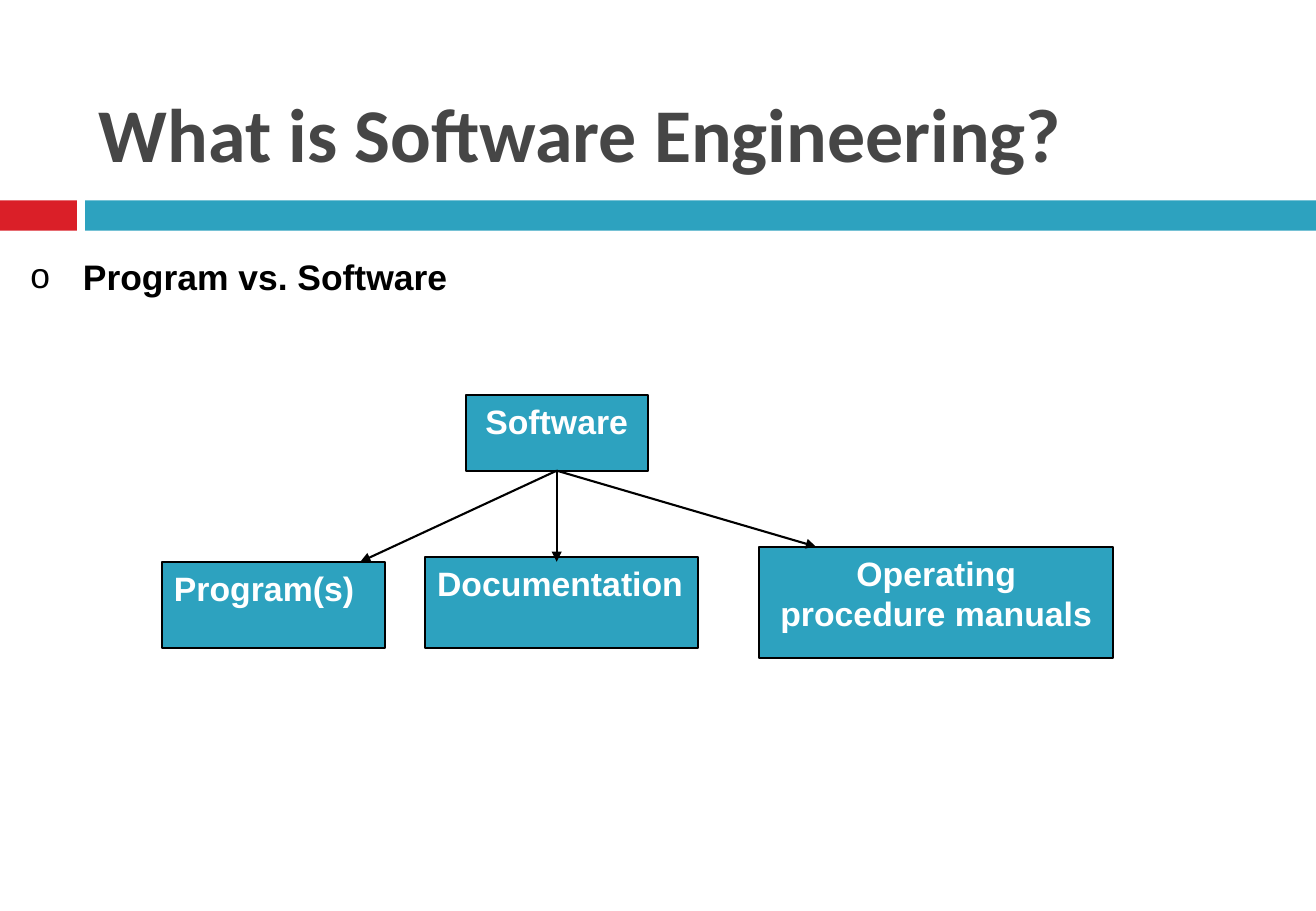
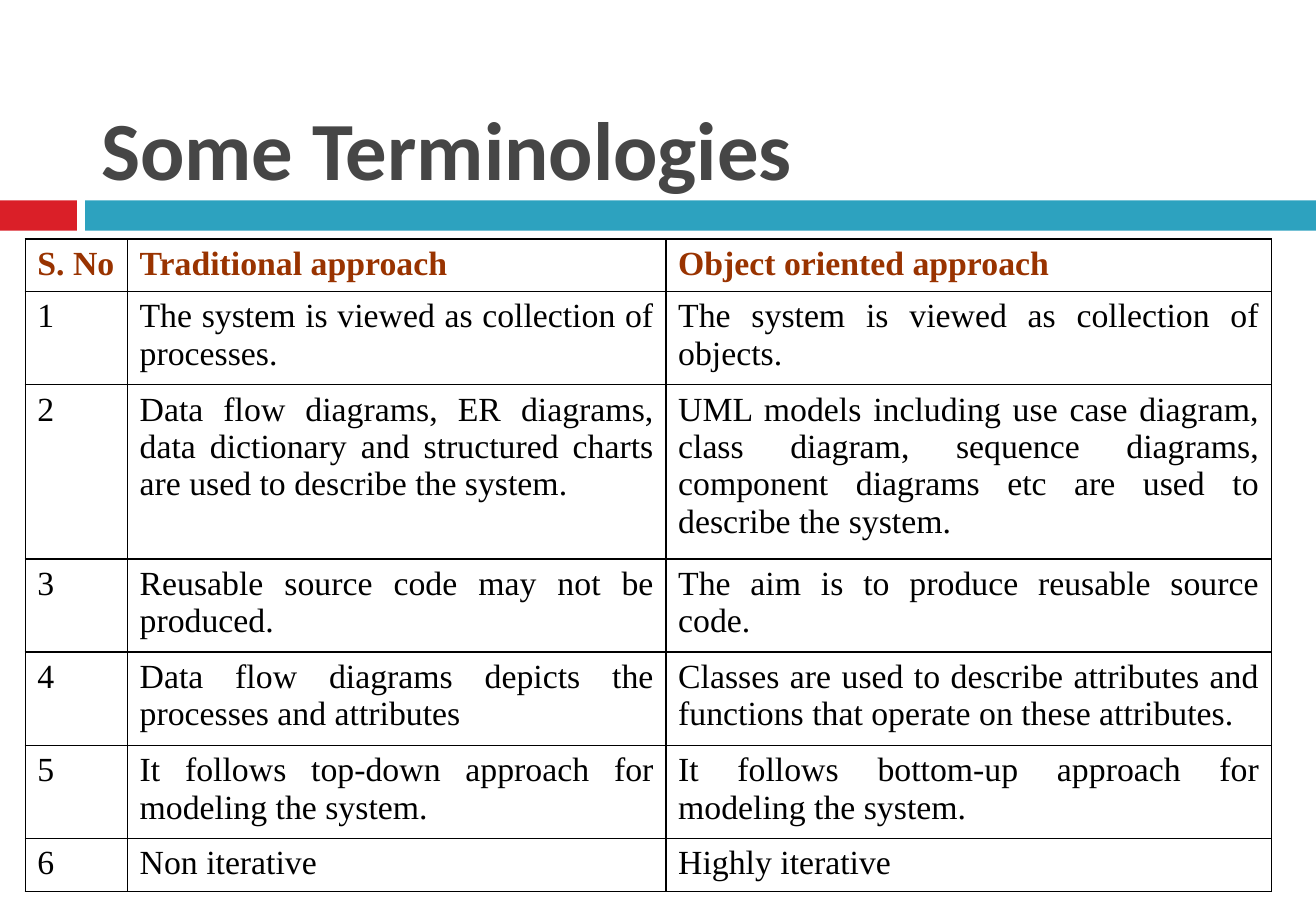
from typing import NamedTuple

from lxml.etree import SubElement
from pptx import Presentation
from pptx.dml.color import RGBColor
from pptx.enum.shapes import MSO_CONNECTOR, MSO_SHAPE
from pptx.enum.text import MSO_ANCHOR, PP_ALIGN
from pptx.oxml.ns import qn
from pptx.util import Emu, Pt

UNIT = 76200
COLUMNS, ROWS = 130, 90
RED, TEAL, GREY = "DA1F28", "2DA2BF", "464646"
BLACK, WHITE, BROWN = "000000", "FFFFFF", "993300"
HEADING_FONT, BODY_FONT, TABLE_FONT = "Calibri", "Arial", "Times New Roman"


class Area(NamedTuple):
    """A rectangle in grid units of a twelfth of an inch."""
    left: float
    top: float
    width: float
    height: float


class Part(NamedTuple):
    """A part of software, with the point where its arrow arrives."""
    label: str
    area: Area
    arrow_x: float
    arrow_y: float
    align: PP_ALIGN = PP_ALIGN.LEFT


BANDS = [(RED, Area(0, 19.8, 7.6, 3)), (TEAL, Area(8.4, 19.8, 121.6, 3))]
SOFTWARE = Area(46, 39, 18, 7.5)
PARTS = [
    Part("Documentation", Area(42, 55, 27, 9), 55, 55.5),
    Part("Operating procedure manuals", Area(75, 54, 35, 11), 80.6, 54, PP_ALIGN.CENTER),
    Part("Program(s)", Area(16, 55.5, 22, 8.5), 35.6, 55.5),
]
TABLE_COLUMNS = [10.1, 53.2, 59.8]
TABLE_ROWS = [5.2, 9.2, 17.2, 9.2, 9.2, 9.2, 5.2]
APPROACHES = [
    ("S. No", "Traditional approach", "Object oriented approach"),
    ("1", "The system is viewed as collection of processes.",
     "The system is viewed as collection of objects."),
    ("2", "Data flow diagrams, ER diagrams, data dictionary and structured charts "
     "are used to describe the system.",
     "UML models including use case diagram, class diagram, sequence diagrams, "
     "component diagrams etc are used to describe the system."),
    ("3", "Reusable source code may not be produced.",
     "The aim is to produce reusable source code."),
    ("4", "Data flow diagrams depicts the processes and attributes",
     "Classes are used to describe attributes and functions that operate on these attributes."),
    ("5", "It follows top-down approach for modeling the system.",
     "It follows bottom-up approach for modeling the system."),
    ("6", "Non iterative", "Highly iterative"),
]


def grid(units: float) -> Emu:
    """Turn grid units into a length."""
    return Emu(round(units * UNIT))


def place(area: Area) -> list[Emu]:
    """Turn an area into slide lengths."""
    return [grid(units) for units in area]


def colour(code: str) -> RGBColor:
    """Turn a hex string into a colour."""
    return RGBColor.from_string(code)


def write(frame, text: str, *, size: float, font: str, ink: str, bold: bool = True,
          align: PP_ALIGN = PP_ALIGN.LEFT, bullet: str = "", indent: float = 0) -> None:
    """Write one formatted paragraph into a text frame."""
    frame.word_wrap = True
    paragraph = frame.paragraphs[0]
    paragraph.alignment = align
    if bullet:
        properties = paragraph._p.get_or_add_pPr()
        properties.set("marL", str(grid(indent)))
        properties.set("indent", str(-grid(indent)))
        SubElement(properties, qn("a:buFont")).set("typeface", font)
        SubElement(properties, qn("a:buChar")).set("char", bullet)
    run = paragraph.add_run()
    run.text = text
    run.font.size, run.font.name, run.font.bold = Pt(size), font, bold
    run.font.color.rgb = colour(ink)


def add_box(slide, area: Area, fill: str, outline: str = ""):
    """Draw a rectangle, outlined when a line colour is given."""
    box = slide.shapes.add_shape(MSO_SHAPE.RECTANGLE, *place(area))
    box.shadow.inherit = False
    box.fill.solid()
    box.fill.fore_color.rgb = colour(fill)
    if outline:
        box.line.color.rgb = colour(outline)
        box.line.width = Pt(1.25)
    else:
        box.line.fill.background()
    return box


def add_node(slide, label: str, area: Area, align: PP_ALIGN):
    """Draw a labelled box of the diagram."""
    node = add_box(slide, area, TEAL, BLACK)
    node.text_frame.vertical_anchor = MSO_ANCHOR.TOP
    write(node.text_frame, label, size=20, font=BODY_FONT, ink=WHITE, align=align)
    return node


def add_arrow(slide, source, part: Part) -> None:
    """Draw an arrow from the bottom of the source to a part."""
    start = (source.left + source.width // 2, source.top + source.height)
    arrow = slide.shapes.add_connector(
        MSO_CONNECTOR.STRAIGHT, *start, grid(part.arrow_x), grid(part.arrow_y))
    arrow.begin_connect(source, 2)
    arrow.line.color.rgb = colour(BLACK)
    arrow.line.width = Pt(1.25)
    SubElement(arrow.line._get_or_add_ln(), qn("a:tailEnd")).set("type", "triangle")
    SubElement(arrow._element.spPr, qn("a:effectLst"))


def add_text(slide, area: Area):
    """Add an empty text box and return its frame."""
    return slide.shapes.add_textbox(*place(area)).text_frame


def start_slide(deck, title: str, area: Area, size: float):
    """Add a slide with the bands and a title, and return it with the title frame."""
    slide = deck.slides.add_slide(deck.slide_layouts[6])
    for fill, band in BANDS:
        add_box(slide, band, fill)
    heading = add_text(slide, area)
    write(heading, title, size=size, font=HEADING_FONT, ink=GREY)
    return slide, heading


def border_cell(cell) -> None:
    """Give a cell a clear fill and a thin black line on each side."""
    properties = cell._tc.get_or_add_tcPr()
    for side in ("a:lnL", "a:lnR", "a:lnT", "a:lnB"):
        edge = SubElement(properties, qn(side), w=str(Pt(1)))
        SubElement(SubElement(edge, qn("a:solidFill")), qn("a:srgbClr")).set("val", BLACK)
    cell.fill.background()


def build_software(deck) -> None:
    """Build the slide on what software consists of."""
    slide, _ = start_slide(deck, "What is Software Engineering?", Area(8.6, 8, 121.4, 10.2), 45)
    topic = add_text(slide, Area(3, 25.2, 77, 4.2))
    topic.margin_left = topic.margin_right = topic.margin_top = topic.margin_bottom = 0
    write(topic, "Program vs. Software", size=21, font=BODY_FONT, ink=BLACK,
          align=PP_ALIGN.JUSTIFY, bullet="o", indent=5.2)
    software = add_node(slide, "Software", SOFTWARE, PP_ALIGN.CENTER)
    for part in PARTS:
        add_node(slide, part.label, part.area, part.align)
    for part in PARTS:
        add_arrow(slide, software, part)


def build_terminologies(deck) -> None:
    """Build the slide that compares the two approaches."""
    slide, heading = start_slide(deck, "Some Terminologies", Area(8.6, 2, 116, 17.7), 49)
    heading.vertical_anchor = MSO_ANCHOR.BOTTOM
    heading.margin_left = heading.margin_right = grid(1.4)
    heading.margin_bottom = grid(0.25)
    area = Area(2.5, 23.6, sum(TABLE_COLUMNS), sum(TABLE_ROWS))
    table = slide.shapes.add_table(len(TABLE_ROWS), len(TABLE_COLUMNS), *place(area)).table
    table.first_row = table.horz_banding = False
    for column, width in zip(table.columns, TABLE_COLUMNS):
        column.width = grid(width)
    for index, (row, height, texts) in enumerate(zip(table.rows, TABLE_ROWS, APPROACHES)):
        row.height = grid(height)
        is_header = index == 0
        for cell, text in zip(row.cells, texts):
            border_cell(cell)
            write(cell.text_frame, text, size=20, font=TABLE_FONT, bold=is_header,
                  ink=BROWN if is_header else BLACK, align=PP_ALIGN.JUSTIFY)


def main() -> None:
    """Build and save the presentation."""
    deck = Presentation()
    deck.slide_width, deck.slide_height = grid(COLUMNS), grid(ROWS)
    build_software(deck)
    build_terminologies(deck)
    deck.save("out.pptx")


if __name__ == "__main__":
    main()
